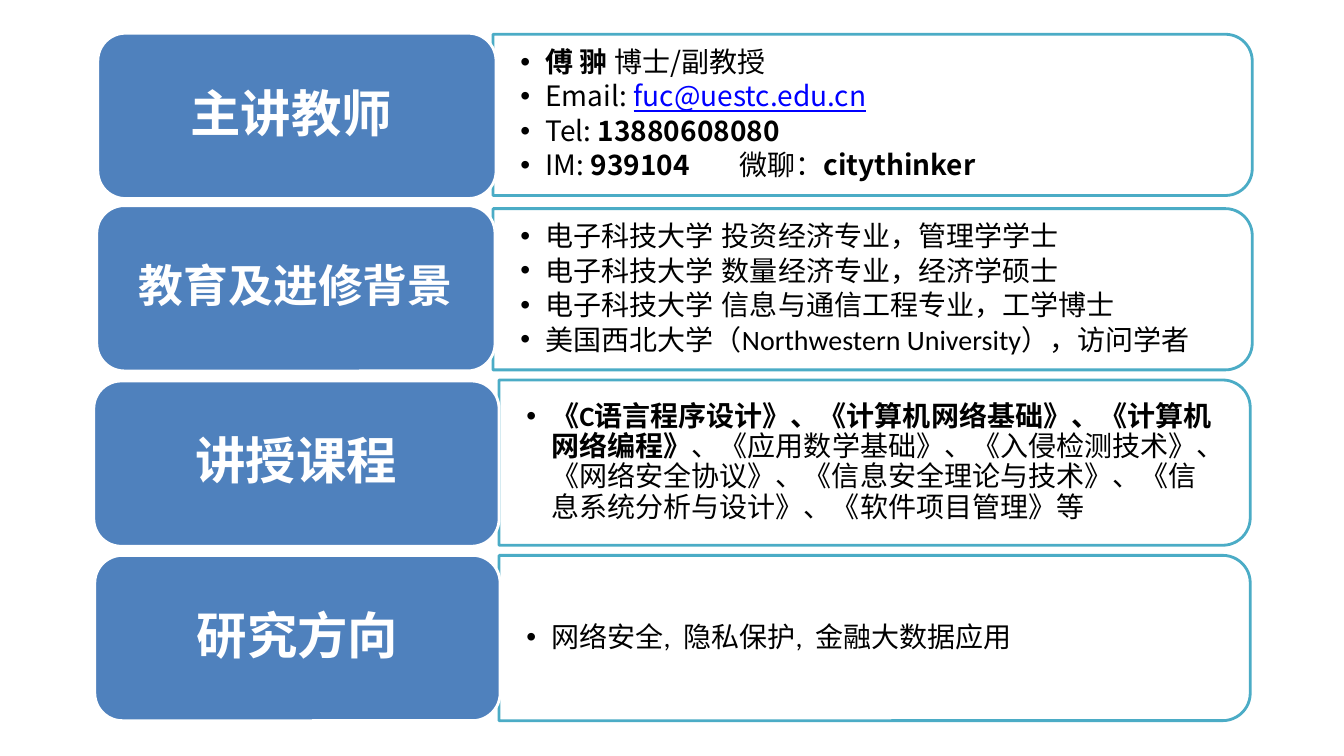
import pptx
import pptx.util
import pptx.dml.color
import pptx.enum.shapes
import pptx.enum.text
import pptx.oxml
import pptx.oxml.ns

Inches, Pt = pptx.util.Inches, pptx.util.Pt
SHAPE = pptx.enum.shapes.MSO_SHAPE
ALIGN = pptx.enum.text.PP_ALIGN
MIDDLE = pptx.enum.text.MSO_ANCHOR.MIDDLE

COLORS = {"label": "4F81BD", "frame": "4BACC6", "white": "FFFFFF",
          "text": "000000", "link": "0000FF"}
CJK = "Noto Sans CJK SC"
LATIN = "Calibri"

# Each paragraph is a list of (text, style); style is "", "bold" or "link"
SECTIONS = [
    {"label": "主讲教师 ", "size": 36, "font": CJK,
     "label_box": (0.97, 0.33, 3.95), "frame_box": (4.89, 0.34, 7.53, 1.6),
     "lines": [
         [("傅 翀 ", "bold"), ("博士/副教授", "")],
         [("Email: ", ""), ("fuc@uestc.edu.cn", "link")],
         [("Tel: ", ""), ("13880608080", "bold")],
         [("IM: ", ""), ("939104\t", "bold"), ("微聊：", ""),
          ("citythinker", "bold")]]},
    {"label": "教育及进修背景", "size": 32, "font": LATIN,
     "label_box": (0.96, 2.04, 3.95), "frame_box": (4.89, 2.07, 7.53, 1.6),
     "lines": [
         [("电子科技大学\t投资经济专业，管理学学士", "")],
         [("电子科技大学\t数量经济专业，经济学硕士", "")],
         [("电子科技大学\t信息与通信工程专业，工学博士", "")],
         [("美国西北大学（Northwestern University），访问学者", "")]]},
    {"label": "讲授课程", "size": 36, "font": LATIN,
     "label_box": (0.93, 3.78, 4.02), "frame_box": (4.95, 3.77, 7.45, 1.64),
     "lines": [
         [("《C语言程序设计》、《计算机网络基础》、《计算机网络编程》", "bold"),
          ("、《应用数学基础》、《入侵检测技术》、《网络安全协议》、"
           "《信息安全理论与技术》、《信息系统分析与设计》、"
           "《软件项目管理》等", "")]]},
    {"label": "研究方向", "size": 36, "font": LATIN,
     "label_box": (0.94, 5.51, 4.02), "frame_box": (4.95, 5.51, 7.45, 1.64),
     "lines": [[("网络安全,  隐私保护,  金融大数据应用", "")]]},
]
LABEL_HEIGHT = 1.64
TEXT_PAD = 0.08     # frame edge to text box
TAB_STOP = 2.17     # second item on the contact line


def rgb(name):
    return pptx.dml.color.RGBColor.from_string(COLORS[name])


def add_box(s, kind, box, fill, line):
    sp = s.shapes.add_shape(kind, *map(Inches, box))
    sp.shadow.inherit = False
    sp.fill.solid()
    sp.fill.fore_color.rgb = rgb(fill)
    sp.line.color.rgb = rgb(line)
    sp.line.width = Pt(2)
    return sp


def set_frame(tf, side, top):
    tf.word_wrap = True
    tf.vertical_anchor = MIDDLE
    tf.margin_left = tf.margin_right = Inches(side)
    tf.margin_top = tf.margin_bottom = Inches(top)


def add_run(p, text, size, font, color, bold):
    r = p.add_run()
    r.text = text
    r.font.size = Pt(size)
    r.font.name = font
    r.font.bold = bold
    r.font.color.rgb = rgb(color)
    ea = pptx.oxml.parse_xml(
        f'<a:ea {pptx.oxml.ns.nsdecls("a")} typeface="{CJK}"/>')
    r.font._element.find(pptx.oxml.ns.qn("a:latin")).addnext(ea)
    return r


def add_bullet(p, tab=None):
    pPr = p._p.get_or_add_pPr()
    pPr.set("marL", str(Inches(0.25)))
    pPr.set("indent", str(-Inches(0.25)))
    ns = pptx.oxml.ns.nsdecls("a")
    pPr.append(pptx.oxml.parse_xml(f'<a:buFont {ns} typeface="Arial"/>'))
    pPr.append(pptx.oxml.parse_xml(f'<a:buChar {ns} char="•"/>'))
    if tab:
        pPr.append(pptx.oxml.parse_xml(
            f'<a:tabLst {ns}><a:tab pos="{Inches(tab)}" algn="l"/></a:tabLst>'))


def add_details(s, section):
    # Frame: a preset turned a quarter so its round corners face right
    x, y, w, h = section["frame_box"]
    turned = (x + (w - h) / 2, y + (h - w) / 2, h, w)
    frame = add_box(s, SHAPE.ROUND_2_SAME_RECTANGLE, turned, "white", "frame")
    frame.rotation = 90

    # Upright text over the frame
    box = (x, y + TEXT_PAD, w - TEXT_PAD, h - 2 * TEXT_PAD)
    tf = s.shapes.add_textbox(*map(Inches, box)).text_frame
    set_frame(tf, 0.27, 0.14)
    for i, line in enumerate(section["lines"]):
        p = tf.paragraphs[0] if i == 0 else tf.add_paragraph()
        p.level = 1
        add_bullet(p, TAB_STOP if len(line) > 2 else None)
        p.line_spacing = 0.9
        p.space_after = Pt(3)
        for text, style in line:
            color = "link" if style == "link" else "text"
            r = add_run(p, text, 20, section["font"], color, style == "bold")
            if style == "link":
                r.font.underline = True


def add_label(s, section):
    box = (*section["label_box"], LABEL_HEIGHT)
    tf = add_box(s, SHAPE.ROUNDED_RECTANGLE, box, "label", "white").text_frame
    set_frame(tf, 0.14, 0.07)
    p = tf.paragraphs[0]
    p.alignment = ALIGN.CENTER
    p.line_spacing = 0.9
    add_run(p, section["label"], section["size"], LATIN, "white", True)


def main():
    prs = pptx.Presentation()
    prs.slide_width, prs.slide_height = Inches(13.33), Inches(7.5)
    s = prs.slides.add_slide(prs.slide_layouts[6])
    for section in SECTIONS:
        add_details(s, section)
        add_label(s, section)
    prs.save("out.pptx")


if __name__ == "__main__":
    main()
